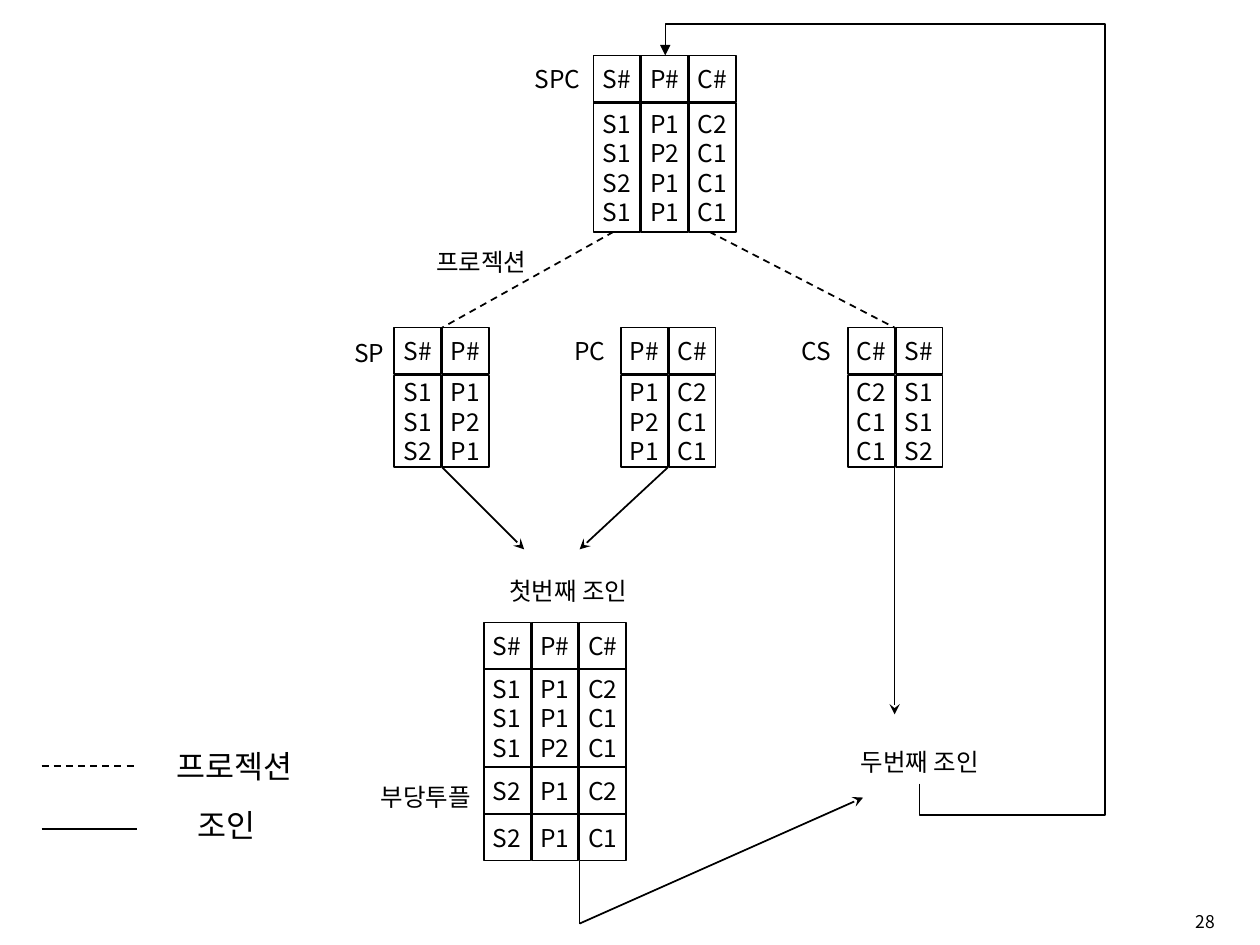
from pptx import Presentation
from pptx.dml.color import RGBColor
from pptx.enum.dml import MSO_LINE
from pptx.enum.shapes import MSO_CONNECTOR, MSO_SHAPE
from pptx.enum.text import MSO_ANCHOR, PP_ALIGN
from pptx.oxml.ns import qn
from pptx.util import Inches, Pt
from lxml.etree import SubElement

FONT = "Noto Sans CJK KR"
BLACK = RGBColor.from_string("000000")
CELL, STEP = 0.37, 0.38

deck = Presentation()
deck.slide_width, deck.slide_height = Inches(10), Inches(7.5)
page = deck.slides.add_slide(deck.slide_layouts[6])


def write(box, text, size=14, font=FONT, align=PP_ALIGN.CENTER, anchor=MSO_ANCHOR.MIDDLE):
    frame = box.text_frame
    frame.text = text
    frame.word_wrap = False
    frame.vertical_anchor = anchor
    for para in frame.paragraphs:
        para.alignment = align
        for span in para.runs:
            span.font.size, span.font.name = Pt(size), font
            span.font.color.rgb = BLACK
            SubElement(span.font._element, qn("a:ea")).set("typeface", FONT)


def connect(start, end, kind=MSO_CONNECTOR.STRAIGHT, width=1, dashed=False, arrow=None):
    line = page.shapes.add_connector(kind, *[Inches(value) for value in start + end])
    line.line.color.rgb = BLACK
    line.line.width = Pt(width)
    if dashed:
        line.line.dash_style = MSO_LINE.DASH
    if arrow:
        SubElement(line.line._get_or_add_ln(), qn("a:tailEnd")).set("type", arrow)
    SubElement(line._element.spPr, qn("a:effectLst"))
    return line


# Relations: left, top, then (row height, gap below, one text per column)
relations = [
    (4.71, 0.44, [(CELL, 0.01, "S# P# C#"),
                  (1.02, 0, "S1,S1,S2,S1 P1,P2,P1,P1 C2,C1,C1,C1")]),
    (3.13, 2.6, [(CELL, 0.01, "S# P#"), (0.73, 0, "S1,S1,S2 P1,P2,P1")]),
    (4.93, 2.6, [(CELL, 0.01, "P# C#"), (0.73, 0, "P1,P2,P1 C2,C1,C1")]),
    (6.73, 2.6, [(CELL, 0.01, "C# S#"), (0.73, 0, "C2,C1,C1 S1,S1,S2")]),
    (3.84, 4.94, [(CELL, 0, "S# P# C#"), (0.78, 0, "S1,S1,S1 P1,P1,P2 C2,C1,C1"),
                  (CELL, 0, "S2 P1 C2"), (CELL, 0, "S2 P1 C1")]),
]
for left, top, rows in relations:
    for height, gap, texts in rows:
        for column, text in enumerate(texts.split()):
            cell = page.shapes.add_shape(
                MSO_SHAPE.RECTANGLE, Inches(left + column * STEP), Inches(top),
                Inches(CELL), Inches(height))
            cell.shadow.inherit = False
            cell.fill.background()
            cell.line.color.rgb = BLACK
            cell.line.width = Pt(1)
            write(cell, text.replace(",", "\n"))
        top += height + gap

# Labels
labels = [
    ("SPC", 4.12, 0.46, 0.61), ("SP", 2.7, 2.63, 0.46),
    ("PC", 4.44, 2.62, 0.48), ("CS", 6.24, 2.62, 0.48),
    ("프로젝션", 3.33, 1.91, 0.98), ("부당투플", 2.89, 6.16, 0.98),
    ("첫번째 조인", 3.89, 4.52, 1.24), ("두번째 조인", 6.68, 5.88, 1.24),
]
for text, left, top, width in labels:
    box = page.shapes.add_textbox(Inches(left), Inches(top), Inches(width), Inches(0.33))
    write(box, text, anchor=MSO_ANCHOR.TOP)

# Projections
for start, end in [((4.87, 1.84), (3.51, 2.6)), ((5.63, 1.84), (7.1, 2.6))]:
    connect(start, end, dashed=True)

# Joins
for start, end in [((3.51, 3.71), (4.16, 4.36)), ((5.3, 3.71), (4.6, 4.36)),
                   ((4.6, 7.33), (6.85, 6.33)), ((7.1, 3.71), (7.1, 5.67))]:
    connect(start, end, arrow="stealth")
connect((4.6, 6.83), (4.6, 7.33), width=0.75)

# Return path from the second join to SPC: a five-part elbow turned by 270 degrees
loop = connect((3.4, 2.32), (9.18, 4.34), MSO_CONNECTOR.ELBOW, 0.75, arrow="triangle")
frame = loop._element.spPr.find(qn("a:xfrm"))
frame.set("rot", str(270 * 60000))
frame.set("flipV", "1")
outline = loop._element.spPr.find(qn("a:prstGeom"))
outline.set("prst", "bentConnector5")
bends = outline.find(qn("a:avLst"))
if bends is None:
    bends = SubElement(outline, qn("a:avLst"))
for number, share in enumerate((-4300, -72800, 104300), 1):
    guide = SubElement(bends, qn("a:gd"))
    guide.set("name", f"adj{number}")
    guide.set("fmla", f"val {share}")

# Legend
for text, left, top, width, line_top, dashed in [
        ("프로젝션", 1.3, 5.88, 1.2, 6.08, True), ("조인", 1.47, 6.35, 0.7, 6.58, False)]:
    connect((0.33, line_top), (1.09, line_top), dashed=dashed)
    box = page.shapes.add_textbox(Inches(left), Inches(top), Inches(width), Inches(0.4))
    write(box, text, 18, "Times New Roman", PP_ALIGN.LEFT)

# Page number
box = page.shapes.add_textbox(Inches(0.18), Inches(7.18), Inches(9.56), Inches(0.27))
write(box, "28", 10, align=PP_ALIGN.RIGHT, anchor=MSO_ANCHOR.TOP)
box.text_frame.word_wrap = True

deck.save("out.pptx")
